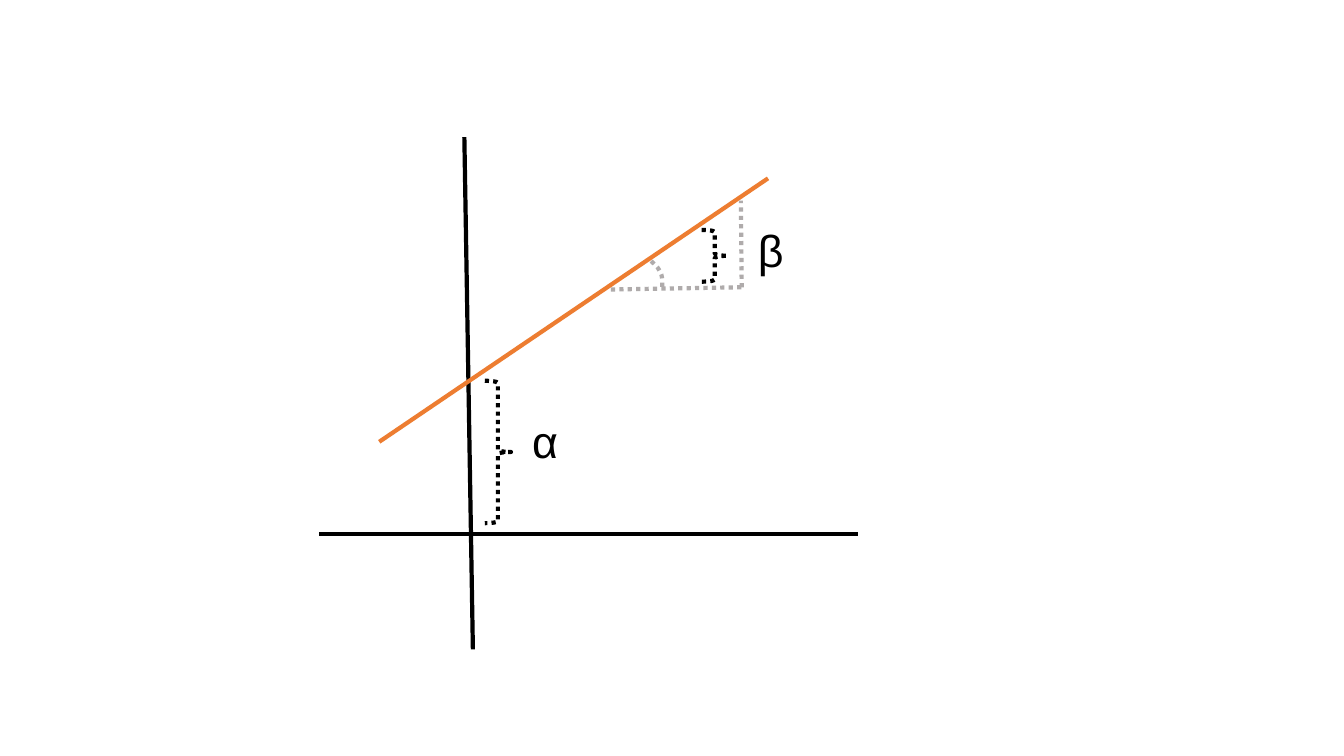
import pptx
import pptx.util
import pptx.dml.color
import pptx.enum.dml
import pptx.enum.shapes
import pptx.enum.text
import pptx.oxml.ns
import lxml.etree

Pt = pptx.util.Pt

COLORS = {"axis": "000000", "regression": "ED7D31", "slope": "AFABAB", "text": "000000"}
FONT = "Arial"
LINE_WIDTH = 3
LABEL_SIZE = 32
LABEL_BOX = (42.5, 46)
BRACE_WIDTH = 18.7

LINES = [
    ((331.7, 98), (337.8, 463.8), "axis", False),
    ((612.7, 381.7), (227.8, 381.7), "axis", False),
    ((548.6, 127.4), (270.9, 315.6), "regression", False),
]
SLOPE_LINES = [
    ((529.5, 205.2), (435.6, 206.8), "slope", True),
    ((529.8, 205.2), (529.2, 143.3), "slope", True),
]
INTERCEPT_BRACE = (346.3, 272, 101.7)
SLOPE_BRACE = (501.2, 164.2, 37)
ANGLE_CURVES = [
    [(465.1, 186.5), (467.3, 188.6), (469.4, 190.1), (470.9, 193)],
    [(470.9, 193), (473.8, 197.3), (473, 201.6), (473, 206.6)],
]
CURVE_STEPS = 8
LABELS = [("β", 534.2, 155.5), ("α", 373, 292.3)]

deck = pptx.Presentation()
deck.slide_width, deck.slide_height = Pt(960), Pt(540)
page = deck.slides.add_slide(deck.slide_layouts[6])


def color(name):
    return pptx.dml.color.RGBColor.from_string(COLORS[name])


def style_line(line, name, dotted):
    line.width = Pt(LINE_WIDTH)
    line.color.rgb = color(name)
    if dotted:
        line.dash_style = pptx.enum.dml.MSO_LINE.ROUND_DOT


def draw_line(start, end, name, dotted):
    connector = page.shapes.add_connector(
        pptx.enum.shapes.MSO_CONNECTOR.STRAIGHT, *map(Pt, start + end))
    style_line(connector.line, name, dotted)
    lxml.etree.SubElement(connector._element.spPr, pptx.oxml.ns.qn("a:effectLst"))


def style_outline(shape, name):
    shape.shadow.inherit = False
    shape.fill.background()
    style_line(shape.line, name, True)


def draw_brace(left, top, height):
    brace = page.shapes.add_shape(
        pptx.enum.shapes.MSO_SHAPE.RIGHT_BRACE,
        Pt(left), Pt(top), Pt(BRACE_WIDTH), Pt(height))
    style_outline(brace, "axis")


def curve_point(curve, step):
    t = step / CURVE_STEPS
    weights = ((1 - t) ** 3, 3 * t * (1 - t) ** 2, 3 * t ** 2 * (1 - t), t ** 3)
    return tuple(Pt(sum(w * point[axis] for w, point in zip(weights, curve))) for axis in (0, 1))


def draw_angle():
    points = [curve_point(curve, step)
              for curve in ANGLE_CURVES for step in range(1, CURVE_STEPS + 1)]
    builder = page.shapes.build_freeform(*map(Pt, ANGLE_CURVES[0][0]))
    builder.add_line_segments(points, close=False)
    style_outline(builder.convert_to_shape(), "slope")


def draw_label(text, left, top):
    box = page.shapes.add_textbox(Pt(left), Pt(top), *map(Pt, LABEL_BOX))
    box.text_frame.word_wrap = True
    box.text_frame.auto_size = pptx.enum.text.MSO_AUTO_SIZE.SHAPE_TO_FIT_TEXT
    span = box.text_frame.paragraphs[0].add_run()
    span.text = text
    span.font.name = FONT
    span.font.size = Pt(LABEL_SIZE)
    span.font.color.rgb = color("text")


for line in LINES:
    draw_line(*line)
draw_brace(*INTERCEPT_BRACE)
for line in SLOPE_LINES:
    draw_line(*line)
draw_angle()
draw_brace(*SLOPE_BRACE)
for label in LABELS:
    draw_label(*label)

deck.save("out.pptx")
